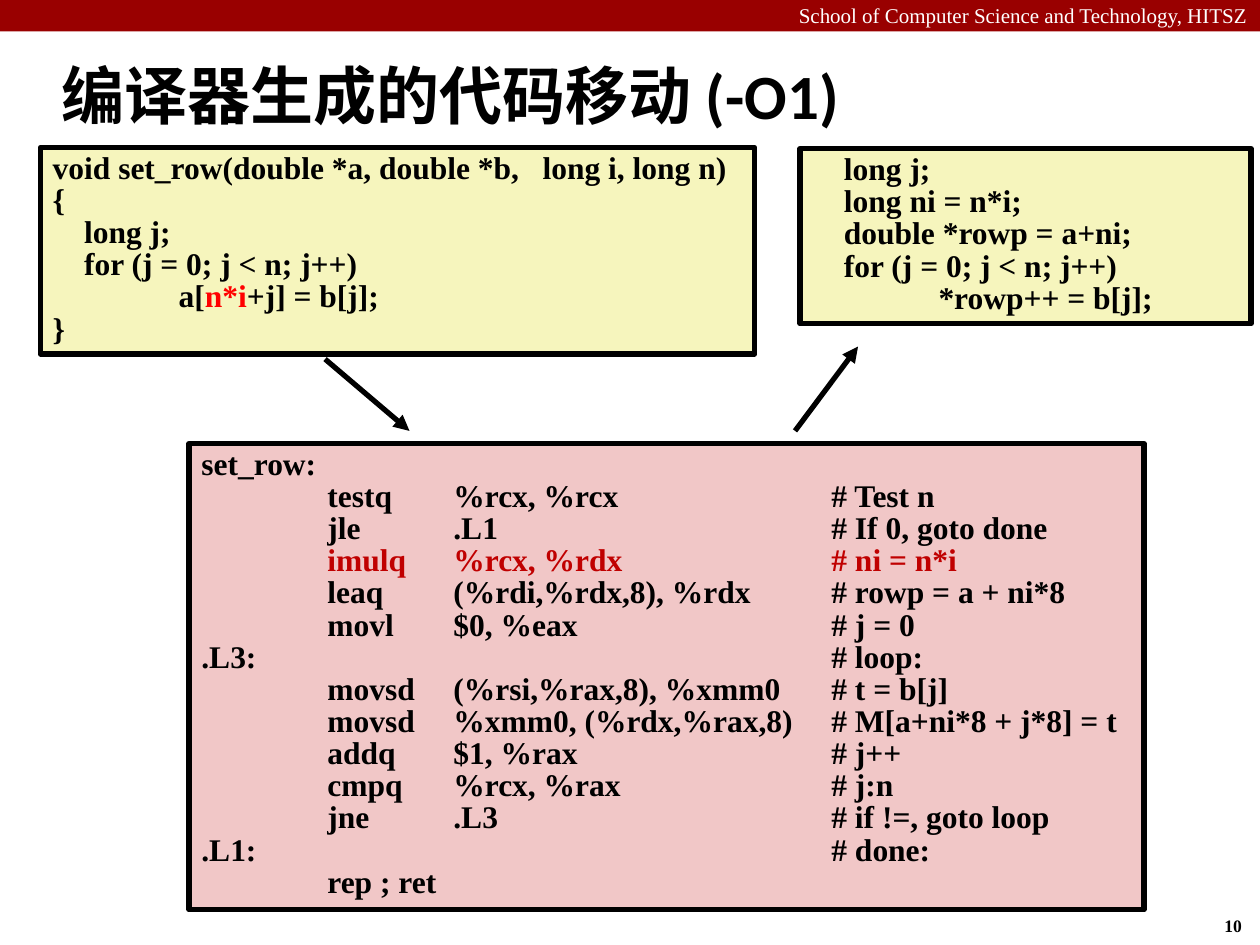
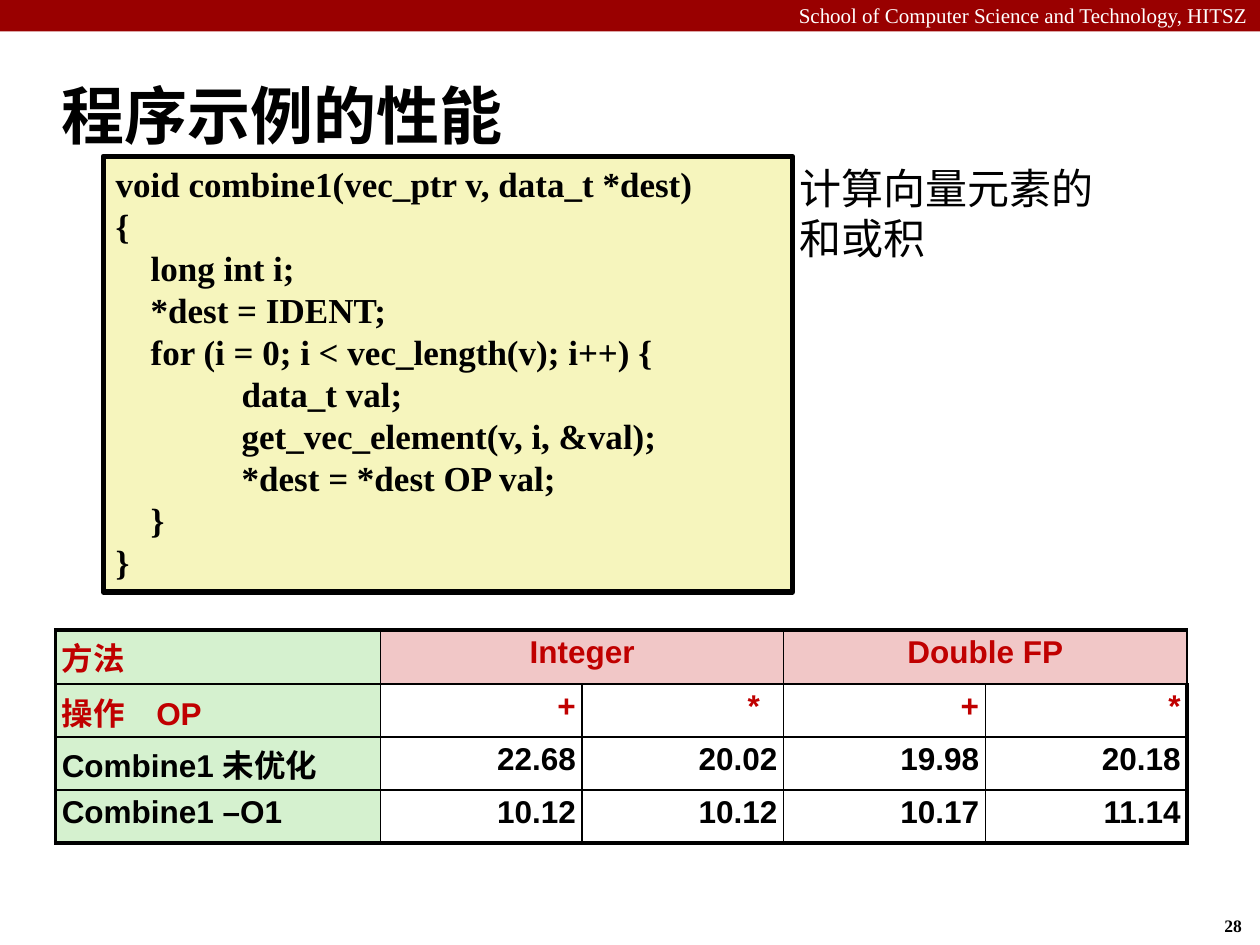
"""Two lecture slides on compiler code motion and example performance."""
from lxml import etree
from pptx import Presentation
from pptx.dml.color import RGBColor
from pptx.enum import shapes, text
from pptx.oxml import ns
from pptx.util import Inches, Pt

BLACK = RGBColor(0x00, 0x00, 0x00)
WHITE = RGBColor(0xFF, 0xFF, 0xFF)
BAND = RGBColor(0x99, 0x00, 0x00)
RED = RGBColor(0xFF, 0x00, 0x00)
DARK_RED = RGBColor(0xC0, 0x00, 0x00)
YELLOW = RGBColor(0xF6, 0xF5, 0xBD)
PINK = RGBColor(0xF1, 0xC7, 0xC7)
GREEN = RGBColor(0xD5, 0xF1, 0xCF)
SERIF, SANS, TITLE_FONT = "Times New Roman", "Arial", "Calibri"


def add_text(s, box, words, size, font, color=BLACK, bold=False):
    """Add a one-paragraph text box and return its text frame."""
    tf = s.shapes.add_textbox(*map(Inches, box)).text_frame
    tf.word_wrap = True
    tf.text = words
    f = tf.paragraphs[0].runs[0].font
    f.size, f.name, f.bold, f.color.rgb = Pt(size), font, bold, color
    return tf


def add_code(s, box, code, fill, size, spacing, tabs=(1,), hot=None, hot_color=None):
    """Add a framed code box, colouring the fragment given as hot."""
    sp = s.shapes.add_shape(shapes.MSO_SHAPE.RECTANGLE, *map(Inches, box))
    sp.shadow.inherit = False
    sp.fill.solid()
    sp.fill.fore_color.rgb = fill
    sp.line.color.rgb = BLACK
    sp.line.width = Pt(3)
    tf = sp.text_frame
    tf.word_wrap = True
    tf.vertical_anchor = text.MSO_ANCHOR.TOP
    for i, line in enumerate(code):
        p = tf.paragraphs[0] if i == 0 else tf.add_paragraph()
        tab_list = etree.SubElement(p._p.get_or_add_pPr(), ns.qn("a:tabLst"))
        for stop in tabs:
            etree.SubElement(tab_list, ns.qn("a:tab"), pos=str(Inches(stop)), algn="l")
        p.alignment = text.PP_ALIGN.LEFT
        p.line_spacing = spacing
        for part in filter(None, line.partition(hot) if hot else [line]):
            r = p.add_run()
            r.text = part
            r.font.size, r.font.name, r.font.bold = Pt(size), SERIF, True
            r.font.color.rgb = hot_color if part == hot else BLACK


prs = Presentation()
prs.slide_width, prs.slide_height = Inches(10), Inches(7.5)

slides = []
for number, title, title_box in [
    ("10", "编译器生成的代码移动 (-O1)", (0.39, 0.33, 8.83, 0.83)),
    ("28", "程序示例的性能", (0.39, 0.49, 8.3, 0.83)),
]:
    s = prs.slides.add_slide(prs.slide_layouts[6])
    band = s.shapes.add_shape(shapes.MSO_SHAPE.RECTANGLE, 0, 0, prs.slide_width, Inches(0.25))
    band.shadow.inherit = False
    band.fill.solid()
    band.fill.fore_color.rgb = BAND
    band.line.fill.background()
    tf = add_text(s, (0, -0.03, 10, 0.3), "School of Computer Science and Technology, HITSZ",
                  12, SERIF, WHITE)
    tf.paragraphs[0].alignment = text.PP_ALIGN.RIGHT
    add_text(s, (9.62, 7.21, 0.37, 0.27), number, 10, SERIF, bold=True).word_wrap = False
    tf = add_text(s, title_box, title, 36, TITLE_FONT, bold=True)
    tf.vertical_anchor = text.MSO_ANCHOR.MIDDLE
    slides.append(s)
motion, performance = slides

assembly = [
    "set_row:",
    "\ttestq\t%rcx, %rcx\t# Test n",
    "\tjle\t.L1\t# If 0, goto done",
    "\timulq\t%rcx, %rdx\t# ni = n*i",
    "\tleaq\t(%rdi,%rdx,8), %rdx\t# rowp = a + ni*8",
    "\tmovl\t$0, %eax\t# j = 0",
    ".L3:\t\t\t# loop:",
    "\tmovsd\t(%rsi,%rax,8), %xmm0\t# t = b[j]",
    "\tmovsd\t%xmm0, (%rdx,%rax,8)\t# M[a+ni*8 + j*8] = t",
    "\taddq\t$1, %rax\t# j++",
    "\tcmpq\t%rcx, %rax\t# j:n",
    "\tjne\t.L3\t# if !=, goto loop",
    ".L1:\t\t\t# done:",
    "\trep ; ret",
]
add_code(motion, (1.5, 3.52, 7.58, 3.7), assembly, PINK, 18, 0.85, tabs=(1, 2, 5),
         hot="imulq\t%rcx, %rdx\t# ni = n*i", hot_color=DARK_RED)

for ends in [(2.58, 2.85, 3.25, 3.42), (6.31, 3.42, 6.81, 2.75)]:
    arrow = motion.shapes.add_connector(shapes.MSO_CONNECTOR.STRAIGHT, *map(Inches, ends))
    arrow.line.color.rgb = BLACK
    arrow.line.width = Pt(3)
    etree.SubElement(arrow.line._get_or_add_ln(), ns.qn("a:tailEnd"), type="triangle")
    etree.SubElement(arrow._element.spPr, ns.qn("a:effectLst"))

moved_code = [
    "    long j;",
    "    long ni = n*i;",
    "    double *rowp = a+ni;",
    "    for (j = 0; j < n; j++)",
    "\t*rowp++ = b[j];",
]
add_code(motion, (6.35, 1.18, 3.58, 1.39), moved_code, YELLOW, 18, 0.85)

set_row = [
    "void set_row(double *a, double *b,   long i, long n)",
    "{",
    "    long j;",
    "    for (j = 0; j < n; j++)",
    "\ta[n*i+j] = b[j];",
    "}",
]
add_code(motion, (0.32, 1.17, 5.67, 1.64), set_row, YELLOW, 18, 0.85,
         hot="n*i", hot_color=RED)

combine1 = [
    "void combine1(vec_ptr v, data_t *dest)",
    "{",
    "    long int i;",
    "    *dest = IDENT;",
    "    for (i = 0; i < vec_length(v); i++) {",
    "\tdata_t val;",
    "\tget_vec_element(v, i, &val);",
    "\t*dest = *dest OP val;",
    "    }",
    "}",
]
add_code(performance, (0.82, 1.24, 5.47, 3.46), combine1, YELLOW, 20, 1.0, tabs=(1, 2.5))
add_text(performance, (6.25, 1.24, 2.67, 0.91), "计算向量元素的和或积", 24, TITLE_FONT)

rows = [
    ["方法", "Integer", "", "Double FP", ""],
    ["操作\tOP", "+", "*", "+", "*"],
    ["Combine1 未优化", "22.68", "20.02", "19.98", "20.18"],
    ["Combine1 –O1", "10.12", "10.12", "10.17", "11.14"],
]
last_row, last_col = len(rows) - 1, len(rows[0]) - 1
table = performance.shapes.add_table(len(rows), len(rows[0]), Inches(0.44), Inches(5),
                                     Inches(8.98), Inches(1.7)).table
for c, column in enumerate(table.columns):
    column.width = Inches(2.58 if c == 0 else 1.6)
for row in table.rows:
    row.height = Inches(0.42)
table.rows[0].height = Inches(0.43)
for c in (1, 3):
    table.cell(0, c).merge(table.cell(0, c + 1))

for r, values in enumerate(rows):
    for c, value in enumerate(values):
        cell = table.cell(r, c)
        cell.margin_left = cell.margin_right = Inches(0.05)
        cell.margin_top = cell.margin_bottom = Inches(0.05)
        cell.fill.solid()
        cell.fill.fore_color.rgb = GREEN if c == 0 else PINK if r == 0 else WHITE
        tcPr = cell._tc.get_or_add_tcPr()
        outer_sides = [("L", c == 0), ("R", c == last_col), ("T", r == 0), ("B", r == last_row)]
        for i, (side, outer) in enumerate(outer_sides):
            ln = etree.Element(ns.qn("a:ln" + side), w=str(Pt(2.25 if outer else 1)))
            solid = etree.SubElement(ln, ns.qn("a:solidFill"))
            etree.SubElement(solid, ns.qn("a:srgbClr"), val=str(BLACK))
            tcPr.insert(i, ln)
        if not value:
            continue
        p = cell.text_frame.paragraphs[0]
        p.text = value
        p.line_spacing = 0.95
        if c:
            p.alignment = text.PP_ALIGN.CENTER if r == 0 else text.PP_ALIGN.RIGHT
        f = p.runs[0].font
        f.size, f.name, f.bold = Pt(18), SANS, True
        f.color.rgb = DARK_RED if r < 2 else BLACK

table.cell(1, 2).margin_right = Inches(0.19)
op_label = table.cell(1, 0).text_frame.paragraphs[0]
op_tabs = etree.SubElement(op_label._p.get_or_add_pPr(), ns.qn("a:tabLst"))
etree.SubElement(op_tabs, ns.qn("a:tab"), pos=str(Inches(0.75)), algn="l")

prs.save("out.pptx")
